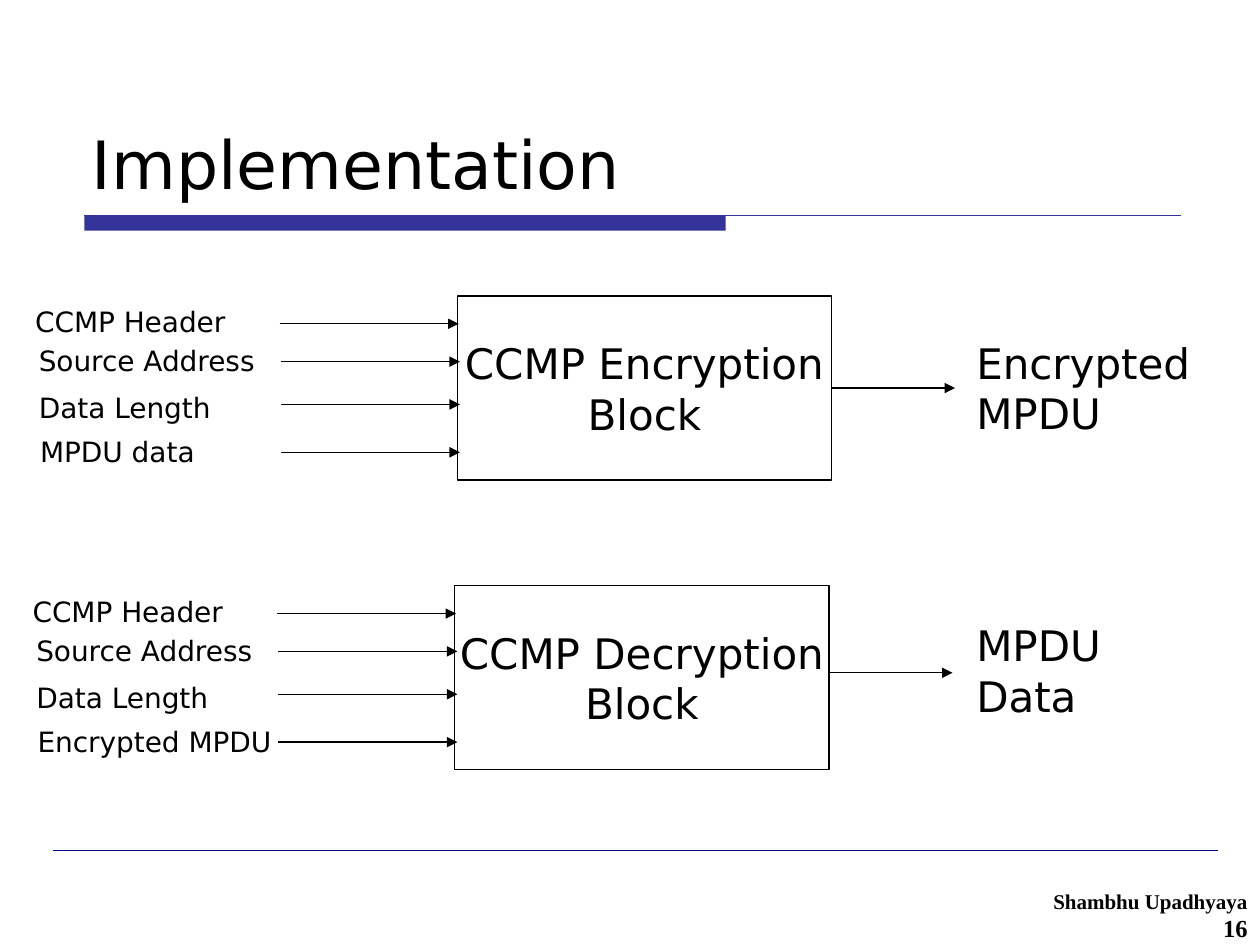
from pptx import Presentation
from pptx.dml.color import RGBColor
from pptx.enum import shapes, text
from pptx.oxml.ns import qn
from pptx.util import Inches, Pt
from lxml import etree

BLACK = RGBColor(0, 0, 0)
BLUE = RGBColor(0x33, 0x33, 0x99)
NAVY = RGBColor(0, 0, 0x80)
SANS = "DejaVu Sans"
SERIF = "Times New Roman"

FLOWS = [
    {"block": ["CCMP Encryption", "Block"], "left": 3.63, "top": 2.35,
     "inputs": ["CCMP Header", "Source Address", "Data Length", "MPDU data"],
     "output": "Encrypted MPDU", "exit": 0.73, "label": 0.28},
    {"block": ["CCMP Decryption", "Block"], "left": 3.61, "top": 4.65,
     "inputs": ["CCMP Header", "Source Address", "Data Length", "Encrypted MPDU"],
     "output": "MPDU Data", "exit": 0.69, "label": 0.22},
]
ROWS = [
    {"text": (-3.45, 0.02, 1.72), "arrow": (-1.41, 0.22)},
    {"text": (-3.42, 0.33, 2.03), "arrow": (-1.4, 0.52)},
    {"text": (-3.42, 0.7, 1.72), "arrow": (-1.4, 0.86)},
    {"text": (-3.41, 1.05, 2.1), "arrow": (-1.4, 1.24)},
]
WIDE, TALL = 2.97, 1.46

deck = Presentation()
deck.slide_width, deck.slide_height = Inches(10), Inches(7.5)
slide = deck.slides.add_slide(deck.slide_layouts[6])


def write(shape, lines, sizes, font=SANS, bold=False, wrap=True,
          align=text.PP_ALIGN.LEFT, anchor=text.MSO_ANCHOR.TOP):
    frame = shape.text_frame
    frame.word_wrap = wrap
    frame.vertical_anchor = anchor
    for i, (line, size) in enumerate(zip(lines, sizes)):
        para = frame.paragraphs[0] if i == 0 else frame.add_paragraph()
        para.alignment = align
        run = para.add_run()
        run.text = line
        run.font.name, run.font.size, run.font.bold = font, Pt(size), bold
        run.font.color.rgb = BLACK


def box(x, y, w, h):
    return slide.shapes.add_textbox(Inches(x), Inches(y), Inches(w), Inches(h))


def rect(x, y, w, h):
    shape = slide.shapes.add_shape(
        shapes.MSO_SHAPE.RECTANGLE, Inches(x), Inches(y), Inches(w), Inches(h))
    shape.shadow.inherit = False
    return shape


def rule(x, y, w, color=BLACK, width=0.75, arrow=False):
    line = slide.shapes.add_connector(
        shapes.MSO_CONNECTOR.STRAIGHT,
        Inches(x), Inches(y), Inches(x + w), Inches(y))
    line.line.color.rgb = color
    line.line.width = Pt(width)
    if arrow:
        etree.SubElement(line.line._get_or_add_ln(), qn("a:tailEnd"), type="triangle")
    etree.SubElement(line._element.spPr, qn("a:effectLst"))


bar = rect(0.67, 1.71, 5.09, 0.12)
bar.fill.solid()
bar.fill.fore_color.rgb = BLUE
bar.line.fill.background()
rule(0.67, 1.71, 8.7, BLUE)
rule(0.42, 6.75, 9.25, NAVY, 0.25)
write(box(7.75, 7, 2.25, 0.5), ["Shambhu Upadhyaya", "16"], [12, 14],
      font=SERIF, bold=True, align=text.PP_ALIGN.RIGHT)
write(box(0.63, 0.33, 8.75, 1.33), ["Implementation"], [38],
      anchor=text.MSO_ANCHOR.BOTTOM)

for flow in FLOWS:
    left, top = flow["left"], flow["top"]
    block = rect(left, top, WIDE, TALL)
    block.fill.background()
    block.line.color.rgb = BLACK
    block.line.width = Pt(0.75)
    write(block, flow["block"], [24, 24], wrap=False,
          align=text.PP_ALIGN.CENTER, anchor=text.MSO_ANCHOR.MIDDLE)
    for name, row in zip(flow["inputs"], ROWS):
        dx, dy, wide = row["text"]
        write(box(left + dx, top + dy, wide, 0.37), [name], [16])
        dx, dy = row["arrow"]
        rule(left + dx, top + dy, 1.42, arrow=True)
    rule(left + WIDE, top + flow["exit"], 0.98, arrow=True)
    write(box(7.65, top + flow["label"], 2, 0.9), [flow["output"]], [24])

deck.save("out.pptx")
